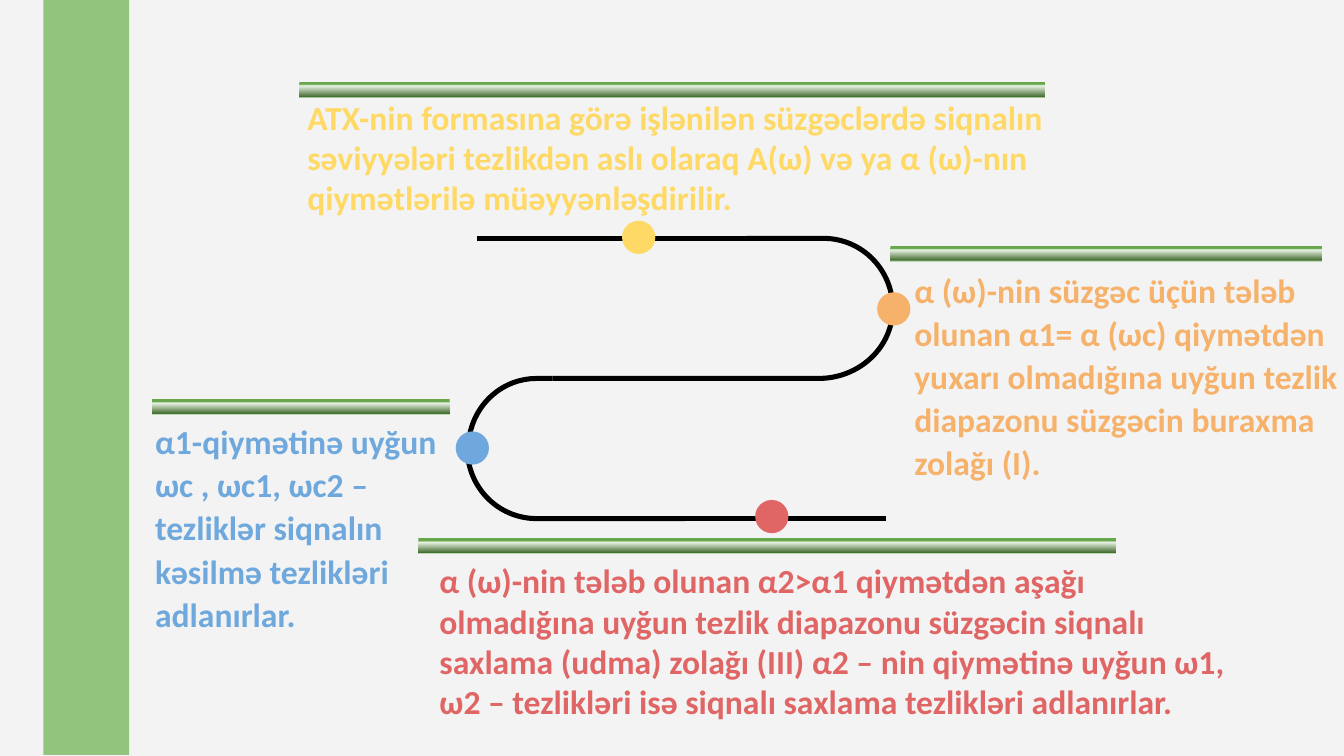
import math
import pptx
import pptx.dml.color
import pptx.enum.shapes
import pptx.enum.text
import pptx.oxml
import pptx.oxml.ns
import pptx.util

Inches = pptx.util.Inches
Kind = pptx.enum.shapes.MSO_SHAPE
qn = pptx.oxml.ns.qn

SHADES = [(16, "67A64B"), (26, "E9F3E5"), (95, "456E32"), (100, "BEDCB1")]
BARS = [
    (2.97, 0.81, 7.4, 0.16),
    (4.15, 5.34, 6.92, 0.15),
    (1.51, 3.96, 2.95, 0.15),
    (8.83, 2.44, 4.28, 0.15),
]
STRIPS = [(6.45, 7.5, 5.12), (7.74, 8.79, 5.12), (4.73, 7.44, 2.34)]
BENDS = [
    (5.32, 4.45, 0.71, 172, 90, 6.79),
    (5.32, 4.45, 0.7, 190, 270, 5.48),
    (8.12, 3.06, 0.76, 8, 90, 5.48),
    (8.17, 3.06, 0.71, -11, -90, 7.4),
]
HIGH, THICK, DOT = 0.72, 0.05, 0.33
DOTS = [
    (6.17, 2.19, "FFD966"),
    (4.52, 4.28, "6FA8DC"),
    (7.49, 4.96, "E06666"),
    (8.7, 2.9, "F6B26B"),
]
NOTES = [
    ((2.95, 0.91, 7.6, 1.31), "FFD966", None, None,
     "ATX-nin formasına görə işlənilən süzgəclərdə siqnalın səviyyələri tezlikdən "
     "aslı olaraq A(ω) və ya α (ω)-nın qiymətlərilə müəyyənləşdirilir."),
    ((8.97, 2.6, 4.81, 2.26), "F6B26B", 1.07, 8,
     "α (ω)-nin süzgəc üçün tələb olunan α1= α (ωc) qiymətdən yuxarı olmadığına "
     "uyğun tezlik diapazonu süzgəcin buraxma zolağı (I)."),
    ((1.44, 4.1, 3.28, 2.26), "6FA8DC", 1.07, 8,
     "α1-qiymətinə uyğun ωc , ωc1, ωc2 – tezliklər siqnalın kəsilmə tezlikləri "
     "adlanırlar."),
    ((4.26, 5.51, 8.19, 1.72), "E06666", None, None,
     "α (ω)-nin tələb olunan α2>α1 qiymətdən aşağı olmadığına uyğun tezlik "
     "diapazonu süzgəcin siqnalı saxlama (udma) zolağı (III) α2 – nin qiymətinə "
     "uyğun ω1, ω2 – tezlikləri isə siqnalı saxlama tezlikləri adlanırlar."),
]


def color(code):
    return pptx.dml.color.RGBColor.from_string(code)


def paint(shape, code):
    shape.shadow.inherit = False
    shape.line.fill.background()
    shape.fill.solid()
    shape.fill.fore_color.rgb = color(code)


def block(slide, kind, box, code):
    shape = slide.shapes.add_shape(kind, *map(Inches, box))
    paint(shape, code)
    return shape


def blend(shape):
    stops = "".join(
        f'<a:gs pos="{pos * 1000}"><a:srgbClr val="{code}"/></a:gs>'
        for pos, code in SHADES
    )
    grad = pptx.oxml.parse_xml(
        f'<a:gradFill {pptx.oxml.ns.nsdecls("a")} rotWithShape="1">'
        f'<a:gsLst>{stops}</a:gsLst><a:lin ang="5400000" scaled="0"/></a:gradFill>'
    )
    props = shape._element.spPr
    props.replace(props.find(qn("a:solidFill")), grad)


def arc(x, y, wide, high, start, end):
    half = math.radians(end - start) / 2
    pull = 4 / 3 * math.tan(half / 4)

    def spot(turn, lean):
        dx = math.cos(turn) - lean * math.sin(turn)
        dy = math.sin(turn) + lean * math.cos(turn)
        return x + wide * dx, y + high * dy

    first = math.radians(start)
    points = [spot(first, 0)]
    for turn in (first, first + half):
        points += [spot(turn, pull), spot(turn + half, -pull), spot(turn + half, 0)]
    return points


def bend(x, y, wide, start, end, tail):
    outer = arc(x, y, wide, HIGH, start, end)
    inner = arc(x, y, wide - THICK, HIGH - THICK, start, end)
    ends = [(tail, outer[-1][1]), (tail, inner[-1][1])]
    return outer + ends + inner[::-1]


def strip(left, right, top):
    low = top + THICK
    return [(left, top), (left, low), (right, low), (right, top)]


def trace(group, points, curves=()):
    spots = [(Inches(x), Inches(y)) for x, y in points]
    form = group.shapes.build_freeform(*spots[0])
    form.add_line_segments(spots[1:], close=True)
    shape = form.convert_to_shape()
    paint(shape, "000000")
    lines = list(shape._element.iter(qn("a:lnTo")))
    for first in curves:
        cubic = pptx.oxml.parse_xml(f'<a:cubicBezTo {pptx.oxml.ns.nsdecls("a")}/>')
        lines[first].addprevious(cubic)
        for line in lines[first:first + 3]:
            cubic.append(line[0])
            line.getparent().remove(line)


def note(slide, box, code, pitch, after, words):
    frame = slide.shapes.add_textbox(*map(Inches, box)).text_frame
    frame.word_wrap = True
    frame.auto_size = pptx.enum.text.MSO_AUTO_SIZE.SHAPE_TO_FIT_TEXT
    para = frame.paragraphs[0]
    para.text = words
    if pitch:
        para.line_spacing = pitch
        para.space_after = pptx.util.Pt(after)
    para.font.name = "Calibri"
    para.font.size = pptx.util.Pt(24)
    para.font.bold = True
    para.font.color.rgb = color(code)


def main():
    deck = pptx.Presentation()
    deck.slide_width, deck.slide_height = Inches(13.33), Inches(7.5)
    slide = deck.slides.add_slide(deck.slide_layouts[6])
    slide.background.fill.solid()
    slide.background.fill.fore_color.rgb = color("F3F3F3")
    block(slide, Kind.RECTANGLE, (0.43, -0.01, 0.85, 7.5), "93C47D")
    track = slide.shapes.add_group_shape()
    for part in STRIPS:
        trace(track, strip(*part))
    for part in BENDS:
        trace(track, bend(*part), (0, 3, 9, 12))
    for left, top, code in DOTS:
        block(slide, Kind.OVAL, (left, top, DOT, DOT), code)
    for box in BARS:
        blend(block(slide, Kind.RECTANGLE, box, SHADES[0][1]))
    for item in NOTES:
        note(slide, *item)
    deck.save("out.pptx")


if __name__ == "__main__":
    main()
